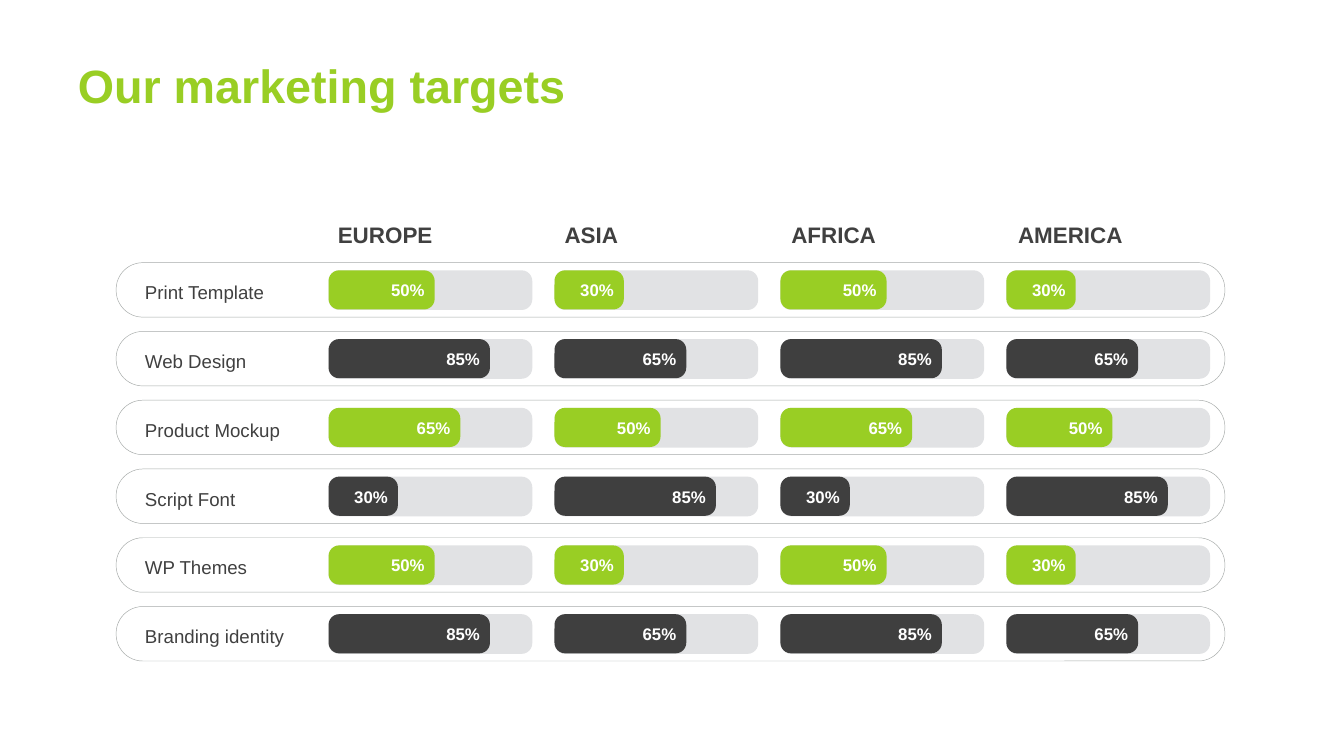
from pptx import Presentation
from pptx.dml.color import RGBColor
from pptx.enum.shapes import MSO_SHAPE
from pptx.enum.text import MSO_ANCHOR, MSO_AUTO_SIZE, PP_ALIGN
from pptx.util import Cm, Pt

GREEN, DARK, TRACK, OUTLINE = "99CE24", "3F3F3F", "E1E2E4", "A6AAA9"
TEXT, WHITE = "404040", "FFFFFF"
REGIONS = ["EUROPE", "ASIA", "AFRICA", "AMERICA"]
TARGETS = [
    ("Print Template", [50, 30, 50, 30]),
    ("Web Design", [85, 65, 85, 65]),
    ("Product Mockup", [65, 50, 65, 50]),
    ("Script Font", [30, 85, 30, 85]),
    ("WP Themes", [50, 30, 50, 30]),
    ("Branding identity", [85, 65, 85, 65]),
]
BAR_WIDTHS = {30: 2.62, 50: 4.01, 65: 4.98, 85: 6.1}
ROW_TOP, ROW_STEP = 9.93, 2.6
BAR_LEFT, BAR_STEP = 12.42, 8.54
HEADER_LEFT, HEADER_STEP = 12.67, 8.57


def color(value):
    """Turn a hex string into a colour."""
    return RGBColor.from_string(value)


def format_text(shape, size, hue, bold=False, align=PP_ALIGN.LEFT):
    """Format the single paragraph of a shape."""
    para = shape.text_frame.paragraphs[0]
    para.alignment = align
    for span in para.runs:
        span.font.name = "Arial"
        span.font.size = Pt(size)
        span.font.bold = bold
        span.font.color.rgb = color(hue)


def add_title(page, text):
    """Place and format the title placeholder."""
    title = page.shapes.title
    title.left, title.top, title.width, title.height = Cm(2.69), Cm(2.01), Cm(28.83), Cm(2.39)
    frame = title.text_frame
    frame.text = text
    frame.vertical_anchor = MSO_ANCHOR.TOP
    frame.auto_size = MSO_AUTO_SIZE.SHAPE_TO_FIT_TEXT
    format_text(title, 50, GREEN, True, PP_ALIGN.JUSTIFY)


def add_text(page, text, left, top, width, height, inset=0.1, spacing=1.0, **style):
    """Add a vertically centred line of text."""
    box = page.shapes.add_textbox(Cm(left), Cm(top), Cm(width), Cm(height))
    frame = box.text_frame
    frame.word_wrap = True
    frame.vertical_anchor = MSO_ANCHOR.MIDDLE
    frame.margin_left = frame.margin_right = Cm(inset)
    frame.margin_top = frame.margin_bottom = Cm(inset)
    frame.text = text
    frame.paragraphs[0].line_spacing = spacing
    format_text(box, **style)


def add_rounded(page, left, top, width, height, corner, fill=None, line=None):
    """Add a rounded rectangle with a fill or an outline."""
    shape = page.shapes.add_shape(
        MSO_SHAPE.ROUNDED_RECTANGLE, Cm(left), Cm(top), Cm(width), Cm(height))
    shape.adjustments[0] = corner
    shape.shadow.inherit = False
    if fill:
        shape.fill.solid()
        shape.fill.fore_color.rgb = color(fill)
    else:
        shape.fill.background()
    if line:
        shape.line.color.rgb = color(line)
        shape.line.width = Pt(0.5)
    else:
        shape.line.fill.background()


def add_bar(page, left, top, percent, fill):
    """Add a track, its filled part and the percentage."""
    width = BAR_WIDTHS[percent]
    label_width = 1.6 if percent == 30 else 2.44
    add_rounded(page, left, top, 7.7, 1.5, 0.27, fill=TRACK)
    add_rounded(page, left, top, width, 1.48, 0.27, fill=fill)
    add_text(page, f"{percent}%", left + width - label_width - 0.28, top + 0.19,
             label_width, 1.12, size=18, hue=WHITE, bold=True, align=PP_ALIGN.RIGHT)


def add_row(page, top, label, percents, fill):
    """Add an outlined row with its label and bars."""
    add_rounded(page, 4.39, top, 41.91, 2.06, 0.489, line=OUTLINE)
    add_text(page, label, 5.33, top + 0.54, 5.82, 0.99,
             inset=0.15, spacing=1.2, size=20, hue=TEXT)
    for column, percent in enumerate(percents):
        add_bar(page, BAR_LEFT + column * BAR_STEP, top + 0.29, percent, fill)


def main():
    """Build the marketing targets slide."""
    deck = Presentation()
    deck.slide_width, deck.slide_height = Cm(50.8), Cm(28.58)
    page = deck.slides.add_slide(deck.slide_layouts[5])
    add_title(page, "Our marketing targets")
    for column, region in enumerate(REGIONS):
        add_text(page, region, HEADER_LEFT + column * HEADER_STEP, 7.92, 7.75, 1.7,
                 spacing=1.2, size=24, hue=TEXT, bold=True)
    for row, (label, percents) in enumerate(TARGETS):
        add_row(page, ROW_TOP + row * ROW_STEP, label, percents, DARK if row % 2 else GREEN)
    deck.save("out.pptx")


if __name__ == "__main__":
    main()
